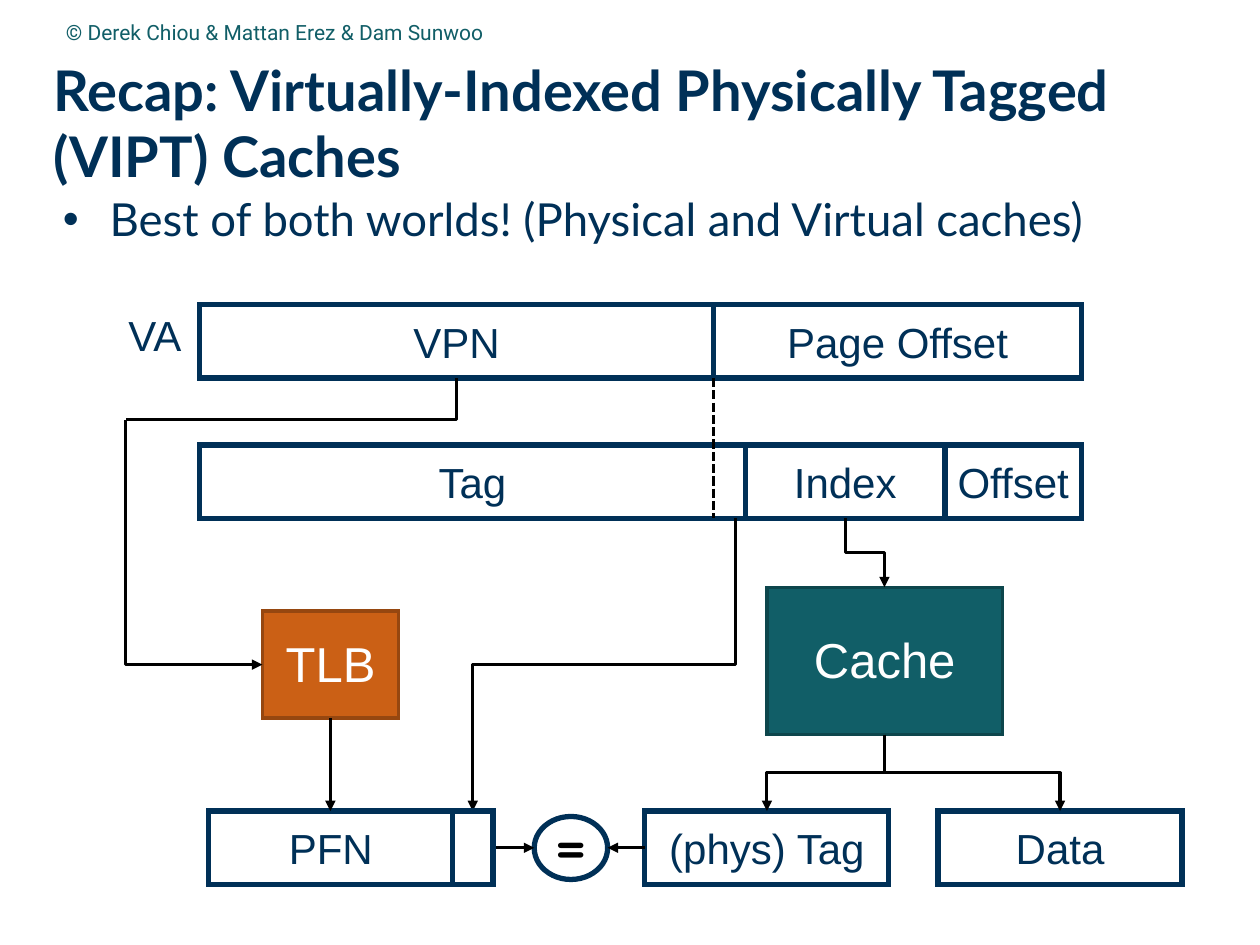
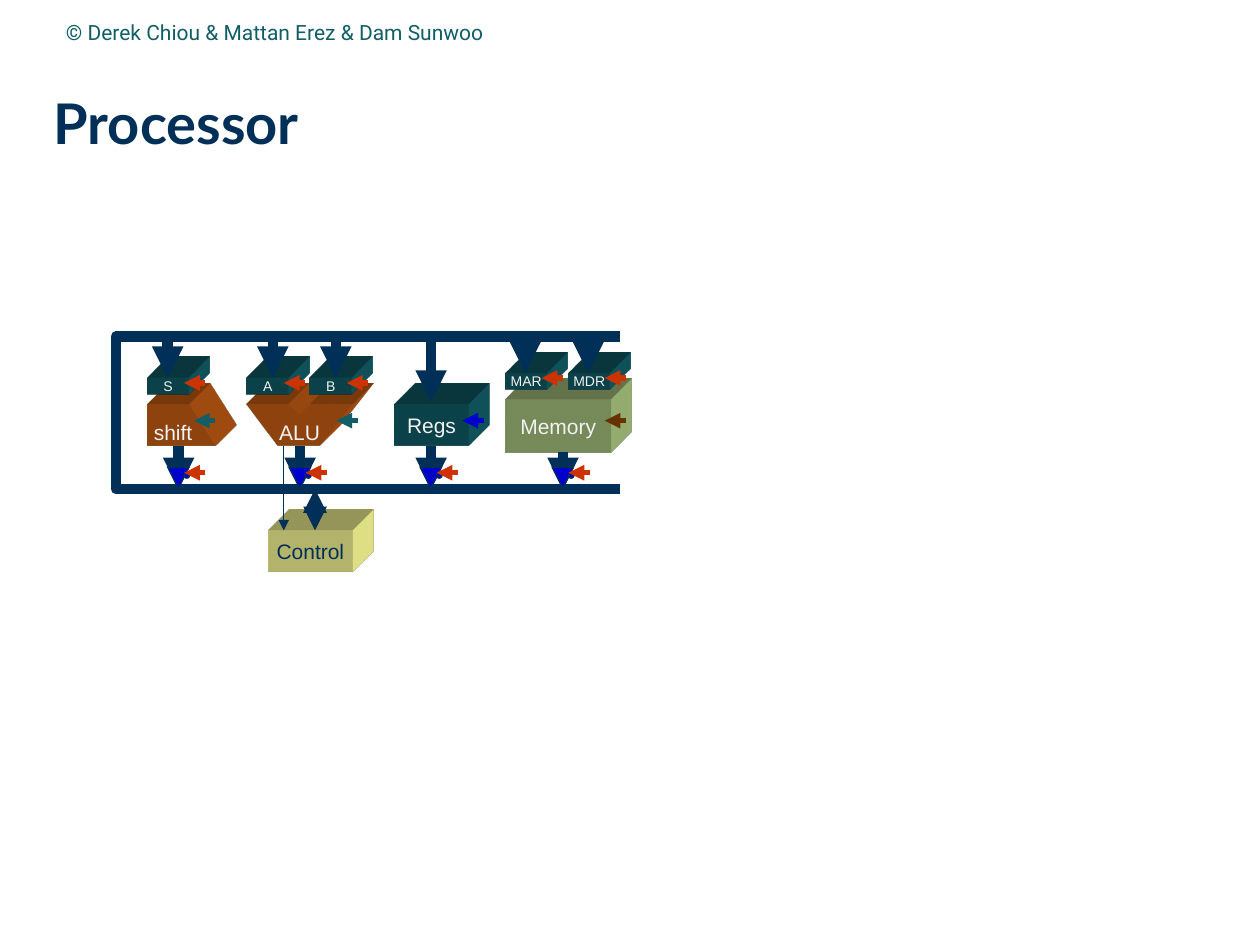
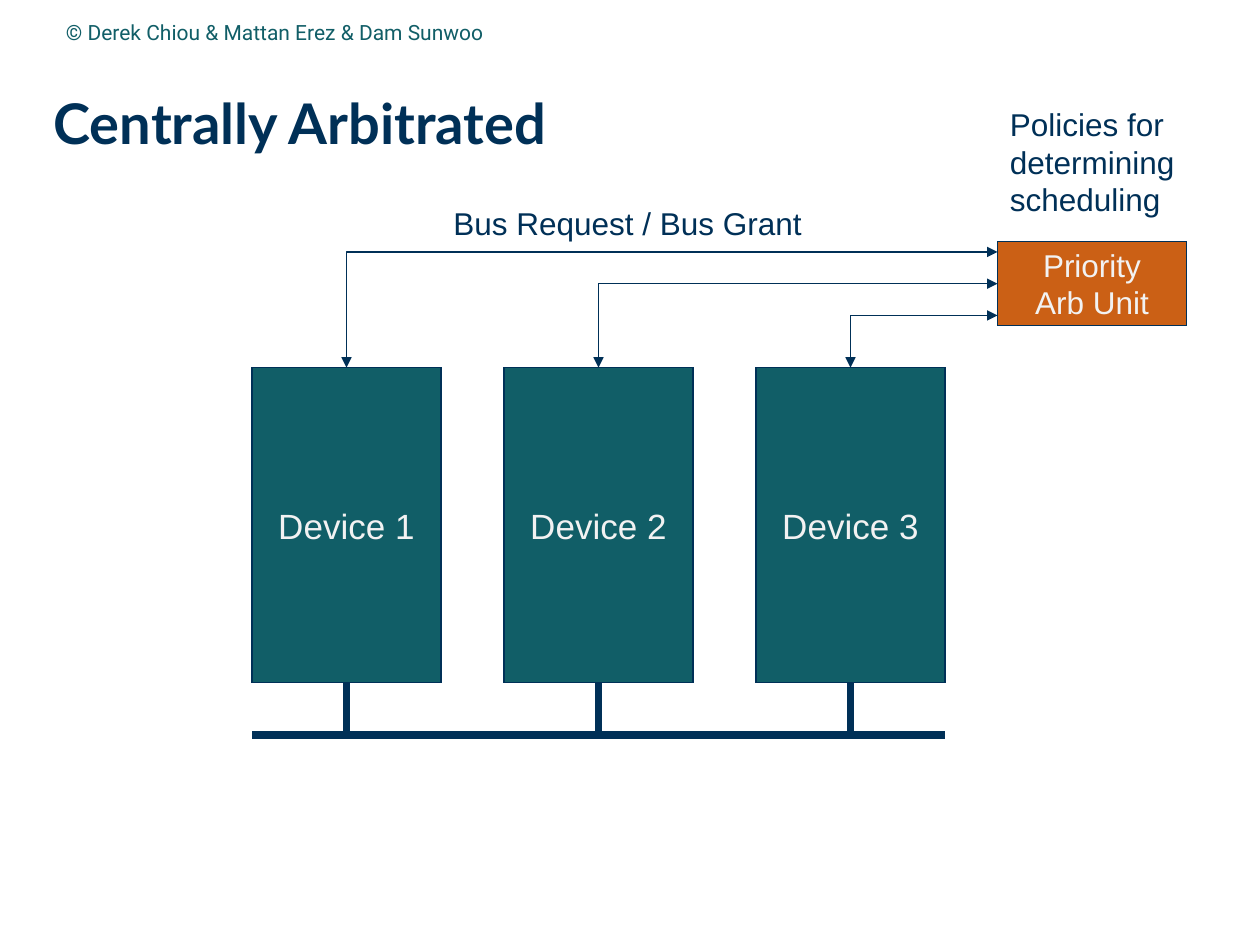
"""Build three computer architecture slides: VIPT caches, a processor and a bus arbiter."""
import pptx
import pptx.dml.color
import pptx.enum.dml
import pptx.enum.shapes
import pptx.enum.text
import pptx.oxml
import pptx.oxml.ns
import pptx.util

Cm, Pt = pptx.util.Cm, pptx.util.Pt
KIND = pptx.enum.shapes.MSO_SHAPE
ALIGN = pptx.enum.text.PP_ALIGN
ANCHOR = pptx.enum.text.MSO_ANCHOR
NS = pptx.oxml.ns.nsdecls("a")


class Theme:
    navy, teal, orange, white, pale, black = "003057", "115E67", "CB6015", "FFFFFF", "F2F2F2", "000000"
    teal_edge, orange_edge = "0D464C", "964710"
    red, blue, brown, green, yellow = "CC3300", "0000CC", "663300", "A9C47F", "FFFF99"
    title_font, credit_font, label_font, sign_font = "Lato", "Roboto", "Arial", "Quicksand"
    title, body, unit, field, device, note, small, tiny = 32, 26, 28, 24, 20, 18, 12, 8


def box(s, kind, frame, text="", size=Theme.small, color=Theme.navy, fill=None, line=None, weight=0.75,
        font=Theme.label_font, bold=False, align=ALIGN.CENTER, anchor=ANCHOR.MIDDLE, wrap=False,
        inset=None, spacing=None, solid=False):
    if kind == "text":
        sp = s.shapes.add_textbox(*map(Cm, frame))
    elif kind == "outline":
        points = [(Cm(x), Cm(y)) for x, y in frame]
        builder = s.shapes.build_freeform(*points[0])
        builder.add_line_segments(points[1:], close=True)
        sp = builder.convert_to_shape()
    else:
        sp = s.shapes.add_shape(kind, *map(Cm, frame))
    if kind != "text":
        sp.shadow.inherit = False
        sp.fill.background()
        sp.line.fill.background()
    if fill:
        sp.fill.solid()
        sp.fill.fore_color.rgb = pptx.dml.color.RGBColor.from_string(fill)
    if line:
        sp.line.color.rgb = pptx.dml.color.RGBColor.from_string(line)
        sp.line.width = Pt(weight)
        sp.line._get_or_add_ln().append(pptx.oxml.parse_xml(f'<a:miter {NS} lim="800000"/>'))
    if solid:
        for xml in (
            f'<a:scene3d {NS}><a:camera prst="legacyObliqueTopRight"/>'
            '<a:lightRig rig="legacyFlat3" dir="b"/></a:scene3d>',
            f'<a:sp3d {NS} extrusionH="430200" prstMaterial="legacyMatte">'
            '<a:bevelT w="13500" h="13500" prst="angle"/><a:bevelB w="13500" h="13500" prst="angle"/>'
            f'<a:extrusionClr><a:srgbClr val="{fill}"/></a:extrusionClr></a:sp3d>',
        ):
            sp._element.spPr.append(pptx.oxml.parse_xml(xml))
    if not text:
        return sp
    tf = sp.text_frame
    tf.text = text
    tf.word_wrap = wrap
    tf.vertical_anchor = anchor
    if inset is not None:
        tf.margin_left = tf.margin_right = tf.margin_top = tf.margin_bottom = Cm(inset)
    for p in tf.paragraphs:
        p.alignment = align
        p.line_spacing = spacing
        for r in p.runs:
            r.font.name, r.font.size, r.font.bold = font, Pt(size), bold
            r.font.color.rgb = pptx.dml.color.RGBColor.from_string(color)
    return sp


def wire(s, points, color=Theme.navy, weight=0.75, head=False, tail=True, bend=None, dash=None):
    (x1, y1), (x2, y2) = points[0], points[-1]
    if len(points) > 2:
        builder = s.shapes.build_freeform(Cm(x1), Cm(y1))
        builder.add_line_segments([(Cm(x), Cm(y)) for x, y in points[1:]], close=False)
        sp = builder.convert_to_shape()
        sp.fill.background()
    elif bend:
        mid_x, mid_y = (x1 + x2) / 2, (y1 + y2) / 2
        half_w, half_h = (y2 - y1) / 2, abs(x2 - x1) / 2
        side = 1 if x2 < x1 else -1
        sp = s.shapes.add_connector(
            pptx.enum.shapes.MSO_CONNECTOR.ELBOW,
            Cm(mid_x - side * half_w), Cm(mid_y - half_h), Cm(mid_x + side * half_w), Cm(mid_y + half_h))
        sp._element.spPr.xfrm.set("rot", str(5400000 if side == 1 else 16200000))
        sp._element.spPr.prstGeom.set("prst", bend)
    else:
        sp = s.shapes.add_connector(
            pptx.enum.shapes.MSO_CONNECTOR.STRAIGHT, Cm(x1), Cm(y1), Cm(x2), Cm(y2))
    sp.line.color.rgb = pptx.dml.color.RGBColor.from_string(color)
    sp.line.width = Pt(weight)
    if dash:
        sp.line.dash_style = dash
    for end, wanted in (("headEnd", head), ("tailEnd", tail)):
        if wanted:
            sp.line._get_or_add_ln().append(pptx.oxml.parse_xml(f'<a:{end} {NS} type="triangle"/>'))
    sp._element.spPr.append(pptx.oxml.parse_xml(f"<a:effectLst {NS}/>"))


prs = pptx.Presentation()
prs.slide_width, prs.slide_height = Cm(25.4), Cm(19.05)
slides = []
for title in ("Recap: Virtually-Indexed Physically Tagged (VIPT) Caches", "Processor", "Centrally Arbitrated"):
    s = prs.slides.add_slide(prs.slide_layouts[6])
    box(s, "text", (1.08, 1.27, 23.9, 2.49), title, Theme.title, font=Theme.title_font, bold=True,
        align=ALIGN.LEFT, wrap=True, inset=0, spacing=0.99)
    box(s, "text", (1.08, 0.06, 14.4, 1.17), "© Derek Chiou & Mattan Erez & Dam Sunwoo", Theme.small,
        Theme.teal, font=Theme.credit_font, align=ALIGN.LEFT, wrap=True)
    slides.append(s)
vipt, processor, arbiter = slides

sp = box(vipt, "text", (1.27, 3.98, 23.7, 15.01), "Best of both worlds! (Physical and Virtual caches)",
         Theme.body, font=Theme.title_font, align=ALIGN.LEFT, anchor=ANCHOR.TOP, wrap=True, inset=0, spacing=0.9)
p = sp.text_frame.paragraphs[0]
p.space_before = Pt(6.5)
pPr = p._p.get_or_add_pPr()
pPr.set("marL", str(Cm(0.94)))
pPr.set("indent", str(-Cm(0.94)))
for xml in (f'<a:buClr {NS}><a:srgbClr val="{Theme.navy}"/></a:buClr>',
            f'<a:buFont {NS} typeface="Arial"/>', f'<a:buChar {NS} char="•"/>'):
    pPr.append(pptx.oxml.parse_xml(xml))

va_top, split_top, result_top, field_h = 6.14, 8.97, 16.35, 1.48
va_bottom, split_bottom, result_mid = va_top + field_h, split_top + field_h, result_top + field_h / 2
for x, y, w, text in (
    (4.02, split_top, 11.01, "Tag"), (15.03, split_top, 4.02, "Index"), (19.05, split_top, 2.75, "Offset"),
    (4.02, va_top, 10.37, "VPN"), (14.39, va_top, 7.41, "Page Offset"),
    (4.21, result_top, 4.92, "PFN"), (13, result_top, 4.92, "(phys) Tag"), (18.91, result_top, 4.92, "Data"),
):
    box(vipt, KIND.RECTANGLE, (x, y, w, field_h), text, Theme.field, fill=Theme.white, line=Theme.navy, weight=3)
for frame, text, fill, edge in (
    ((5.29, 12.32, 2.75, 2.16), "TLB", Theme.orange, Theme.orange_edge),
    ((15.46, 11.84, 4.75, 2.97), "Cache", Theme.teal, Theme.teal_edge),
):
    box(vipt, KIND.RECTANGLE, frame, text, Theme.unit, Theme.white, fill, edge, 2, wrap=True, inset=0, spacing=0.99)
box(vipt, KIND.OVAL, (10.77, 16.46, 1.48, 1.27), "=", Theme.unit, Theme.black, line=Theme.navy, weight=3,
    font=Theme.sign_font, bold=True, wrap=True, inset=0, spacing=0.99)
for start, end, bend, tail in (
    ((9.2, va_bottom), (2.54, 8.46), "bentConnector2", False),
    ((2.54, 8.46), (5.29, 13.4), "bentConnector2", True),
    ((17.04, split_bottom), (17.83, 11.84), "bentConnector3", True),
    ((17.83, 14.81), (21.37, result_top), "bentConnector3", True),
    ((17.83, 14.81), (15.46, result_top), "bentConnector3", True),
    ((14.82, split_bottom), (9.53, result_top), "bentConnector3", True),
    ((6.66, 14.48), (6.66, result_top), None, True),
    ((9.13, result_mid), (10.77, result_mid), None, True),
    ((13, result_mid), (12.25, result_mid), None, True),
):
    wire(vipt, (start, end), Theme.black, 1.75, tail=tail, bend=bend)
wire(vipt, ((14.39, va_bottom), (14.39, split_bottom)), Theme.black, 1.75, tail=False,
     dash=pptx.enum.dml.MSO_LINE.SQUARE_DOT)
box(vipt, KIND.RECTANGLE, (9.13, result_top, 0.81, field_h), fill=Theme.white, line=Theme.navy, weight=3)
box(vipt, "text", (2.34, 6.12, 1.6, 1.27), "VA", Theme.field, align=ALIGN.LEFT, anchor=ANCHOR.TOP)

bus_top, bus_bottom, unit_top, unit_bottom = 6.78, 9.86, 8.15, 8.99
shift = ((2.97, unit_top), (2.97, unit_bottom), (4.34, unit_bottom), (3.81, unit_top))
alu = ((6.05, 8.36), (5.82, unit_top), (4.98, unit_top), (5.61, unit_bottom), (6.45, unit_bottom),
       (7.11, unit_top), (6.25, unit_top))
for kind, frame, text, size, fill in (
    (KIND.RECTANGLE, (7.95, unit_top, 1.5, 0.84), "Regs", Theme.small, Theme.teal),
    (KIND.RECTANGLE, (10.19, 8.05, 2.13, 1.07), "Memory", Theme.small, Theme.green),
    (KIND.RECTANGLE, (10.19, 7.52, 0.84, 0.33), "MAR", Theme.tiny, Theme.teal),
    (KIND.RECTANGLE, (11.46, 7.52, 0.84, 0.33), "MDR", Theme.tiny, Theme.teal),
    ("outline", shift, "", Theme.small, Theme.orange),
    (KIND.RECTANGLE, (2.97, 7.62, 0.84, 0.33), "S", Theme.tiny, Theme.teal),
    ("outline", alu, "", Theme.small, Theme.orange),
    (KIND.RECTANGLE, (4.98, 7.62, 0.84, 0.33), "A", Theme.tiny, Theme.teal),
    (KIND.RECTANGLE, (6.25, 7.62, 0.84, 0.33), "B", Theme.tiny, Theme.teal),
):
    box(processor, kind, frame, text, size, Theme.pale, fill, solid=True)
for x, text in ((2.69, "shift"), (5.24, "ALU")):
    box(processor, "text", (x, 8.33, 1.6, 0.76), text, Theme.small, Theme.pale, anchor=ANCHOR.TOP)

wire(processor, ((12.5, bus_top), (2.34, bus_top), (2.34, bus_bottom), (12.5, bus_bottom)), weight=6, tail=False)
for x, y in ((11.86, 7.52), (10.59, 7.52), (6.77, 7.62), (5.5, 7.62), (3.38, 7.62), (8.69, 8.1)):
    wire(processor, ((x, bus_top), (x, y)), weight=6)
drivers = ((3.6, unit_bottom), (11.35, 9.12), (6.05, unit_bottom), (8.69, unit_bottom))
for x, y in drivers:
    wire(processor, ((x, y), (x, bus_bottom)), weight=6)
for x, y in drivers:
    for kind, frame in ((KIND.ISOSCELES_TRIANGLE, (x - 0.22, 9.42, 0.43, 0.43)),
                        (KIND.OVAL, (x + 0.11, 9.53, 0.11, 0.11))):
        box(processor, kind, frame, fill=Theme.blue, line=Theme.navy).rotation = 180
signals = [(x + 0.54, 9.53, Theme.red) for x, y in drivers] + [
    (4.14, 7.72, Theme.red), (6.15, 7.72, Theme.red), (7.42, 7.72, Theme.red),
    (11.35, 7.62, Theme.red), (12.62, 7.62, Theme.red), (9.75, 8.48, Theme.blue),
    (12.62, 8.48, Theme.brown), (7.21, 8.48, Theme.teal), (4.34, 8.48, Theme.teal)]
for x, y, color in signals:
    wire(processor, ((x, y), (x - 0.43, y)), color, 3)
box(processor, KIND.RECTANGLE, (5.41, 10.69, 1.7, 0.84), "Control", Theme.small, fill=Theme.yellow, solid=True)
wire(processor, ((5.72, unit_bottom), (5.72, 10.69)))
wire(processor, ((6.35, 10.69), (6.35, bus_bottom)), weight=4.5, head=True)

device_top, device_w, device_h, pitch, arb_left, bus_y = 7.41, 3.81, 6.35, 5.08, 20.11, 14.81
for i in range(3):
    left = pitch * (i + 1)
    mid, request_y = left + device_w / 2, 5.08 + 0.64 * i
    box(arbiter, KIND.RECTANGLE, (left, device_top, device_w, device_h), f"Device {i + 1}", Theme.device,
        Theme.pale, Theme.teal, Theme.navy)
    wire(arbiter, ((arb_left, request_y), (mid, request_y), (mid, device_top)), head=True)
    wire(arbiter, ((mid, device_top + device_h), (mid, bus_y)), weight=4.5, tail=False)
wire(arbiter, ((pitch, bus_y), (3 * pitch + device_w, bus_y)), weight=4.5, tail=False)
box(arbiter, KIND.RECTANGLE, (arb_left, 4.87, device_w, 1.69), "Priority\nArb Unit", Theme.note,
    Theme.pale, Theme.orange, Theme.navy)
box(arbiter, "text", (arb_left, 1.99, 4.45, 2.57), "Policies for determining scheduling", Theme.note,
    align=ALIGN.LEFT, anchor=ANCHOR.TOP, wrap=True)
box(arbiter, "text", (8.89, 3.99, 7.59, 1.02), "Bus Request / Bus Grant", Theme.note,
    align=ALIGN.LEFT, anchor=ANCHOR.TOP)

prs.save("out.pptx")
